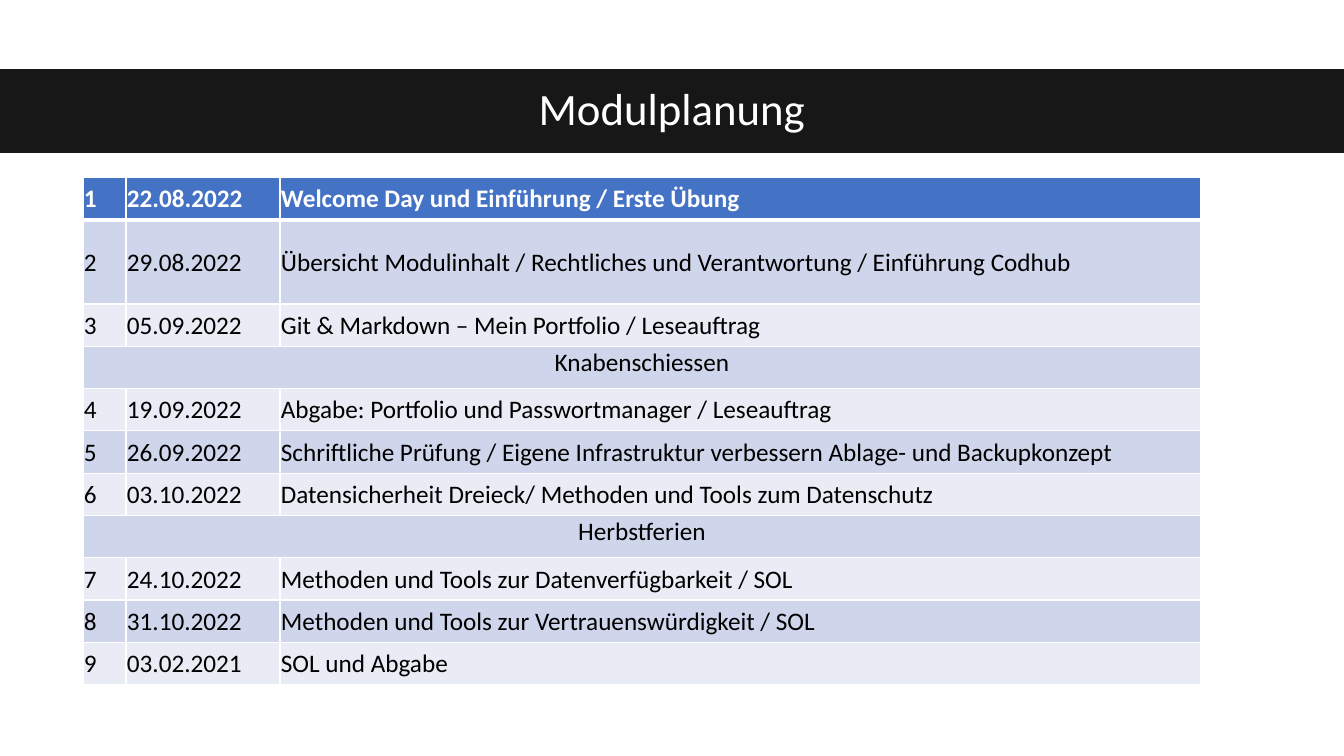
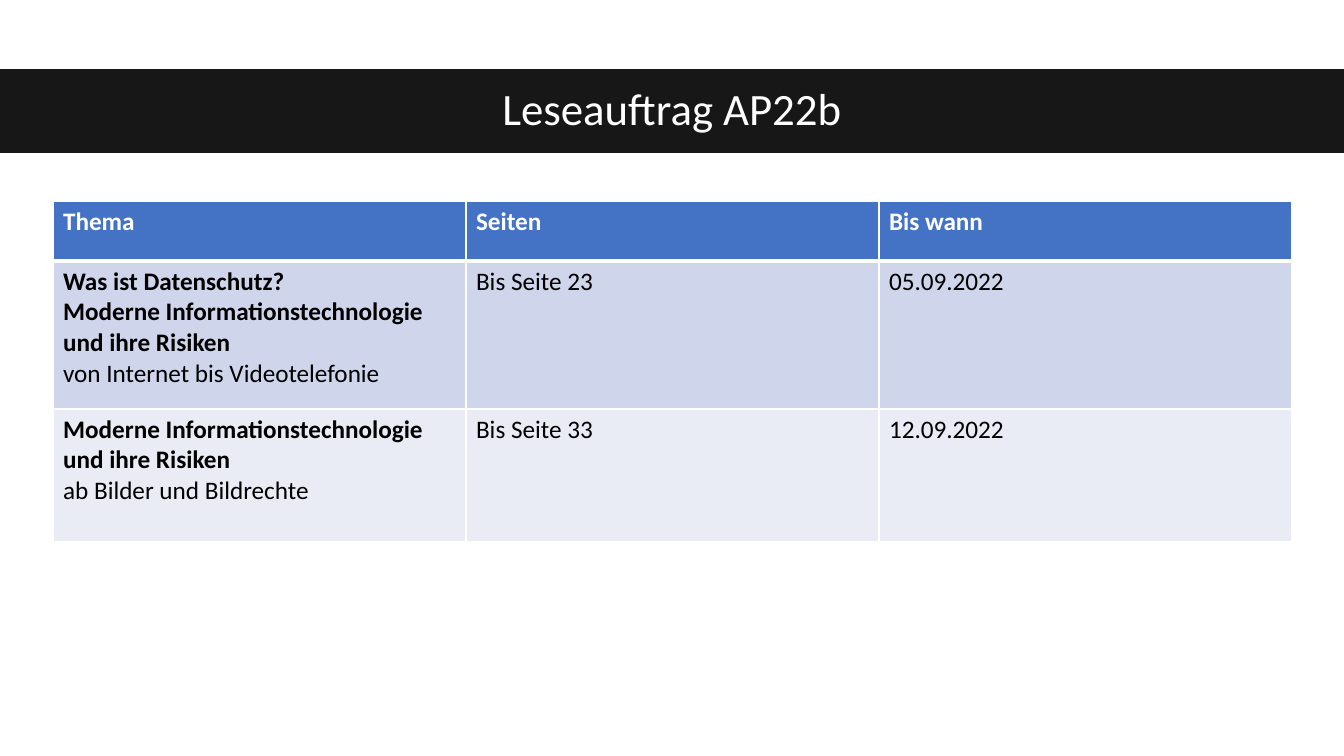
from dataclasses import dataclass

from lxml import etree
from pptx import Presentation
from pptx.dml.color import RGBColor
from pptx.enum.shapes import MSO_SHAPE
from pptx.enum.text import MSO_ANCHOR, PP_ALIGN
from pptx.oxml.ns import qn
from pptx.util import Pt

RECTANGLE = MSO_SHAPE.RECTANGLE
TOP, MIDDLE = MSO_ANCHOR.TOP, MSO_ANCHOR.MIDDLE
LEFT, CENTER = PP_ALIGN.LEFT, PP_ALIGN.CENTER


@dataclass(frozen=True)
class Theme:
    font: str = "Calibri"
    title_size: int = 32
    table_size: int = 18
    white: str = "FFFFFF"
    black: str = "000000"
    band: str = "181717"
    header: str = "4472C4"
    odd_row: str = "CFD5EA"
    even_row: str = "E9EBF5"
    rule: int = 1
    header_rule: int = 3


THEME = Theme()


def px(length):
    return round(length * 914400 / 100.8)


def write_run(paragraph, text, size, color, bold=False):
    run = paragraph.add_run()
    run.text = text
    run.font.name = THEME.font
    run.font.size = Pt(size)
    run.font.bold = bold
    run.font.color.rgb = RGBColor.from_string(color)


schedule = [
    ["1", "22.08.2022", "Welcome Day und Einführung / Erste Übung"],
    ["2", "29.08.2022", "Übersicht Modulinhalt / Rechtliches und Verantwortung / Einführung Codhub"],
    ["3", "05.09.2022", "Git & Markdown – Mein Portfolio / Leseauftrag"],
    ["Knabenschiessen"],
    ["4", "19.09.2022", "Abgabe: Portfolio und Passwortmanager / Leseauftrag"],
    ["5", "26.09.2022", "Schriftliche Prüfung / Eigene Infrastruktur verbessern Ablage- und Backupkonzept"],
    ["6", "03.10.2022", "Datensicherheit Dreieck/ Methoden und Tools zum Datenschutz"],
    ["Herbstferien"],
    ["7", "24.10.2022", "Methoden und Tools zur Datenverfügbarkeit / SOL"],
    ["8", "31.10.2022", "Methoden und Tools zur Vertrauenswürdigkeit / SOL"],
    ["9", "03.02.2021", "SOL und Abgabe"],
]
book_chapter = ("Moderne Informationstechnologie und ihre Risiken", True)
reading = [
    ["Thema", "Seiten", "Bis wann"],
    [
        [("Was ist Datenschutz?", True), book_chapter, ("von Internet bis Videotelefonie", False)],
        "Bis Seite 23",
        "05.09.2022",
    ],
    [[book_chapter, ("ab Bilder und Bildrechte", False)], "Bis Seite 33", "12.09.2022"],
]

pages = [
    {
        "title": "Modulplanung",
        "rows": schedule,
        "origin": (83, 177),
        "widths": [px(43), px(154), px(921)],
        "heights": [px(43), px(84)] + [px(381) // 9] * 9,
        "compact": True,
    },
    {
        "title": "Leseauftrag AP22b",
        "rows": reading,
        "origin": (53, 201),
        "widths": [px(413)] * 3,
        "heights": [px(60), px(148), px(133)],
        "compact": False,
    },
]

deck = Presentation()
deck.slide_width, deck.slide_height = px(1344), px(756)
layout = deck.slide_layouts[5]
layout_title, *layout_footers = layout.placeholders
for footer in layout_footers:
    footer.element.getparent().remove(footer.element)
layout_title.left, layout_title.top = 0, px(70)
layout_title.width, layout_title.height = px(1344), px(82)

for page in pages:
    slide = deck.slides.add_slide(layout)
    heading = slide.shapes.title.text_frame
    heading.vertical_anchor = MIDDLE
    heading.paragraphs[0].alignment = CENTER
    heading.paragraphs[0].line_spacing = 0.9
    write_run(heading.paragraphs[0], page["title"], THEME.title_size, THEME.white)

    if page is pages[0]:
        band = slide.shapes.add_shape(RECTANGLE, 0, px(70), px(1344), px(82))
        band.shadow.inherit = False
        band.fill.solid()
        band.fill.fore_color.rgb = RGBColor.from_string(THEME.band)
        band.line.color.rgb = RGBColor.from_string(THEME.band)
        band.line.width = Pt(1)
        layout_title.element.addprevious(band.element)

    rows, widths, heights = page["rows"], page["widths"], page["heights"]
    left, top = page["origin"]
    table = slide.shapes.add_table(
        len(rows), len(widths), px(left), px(top), sum(widths), sum(heights)
    ).table
    for column, width in zip(table.columns, widths):
        column.width = width

    for row_number, (entries, height) in enumerate(zip(rows, heights)):
        table.rows[row_number].height = height
        is_header = row_number == 0
        is_holiday = len(entries) == 1
        if is_holiday:
            table.cell(row_number, 0).merge(table.cell(row_number, len(widths) - 1))
        row_fill = THEME.header if is_header else (THEME.even_row, THEME.odd_row)[row_number % 2]
        text_color = THEME.white if is_header else THEME.black
        rules = {
            "a:lnL": THEME.rule,
            "a:lnR": THEME.rule,
            "a:lnT": THEME.header_rule if row_number == 1 else THEME.rule,
            "a:lnB": THEME.header_rule if is_header else THEME.rule,
        }

        for column_number in range(len(widths)):
            cell = table.cell(row_number, column_number)
            cell.vertical_anchor = MIDDLE if page["compact"] and not is_holiday else TOP
            if page["compact"]:
                cell.margin_left = cell.margin_right = cell.margin_top = px(1)
                cell.margin_bottom = 0
            cell_properties = cell._tc.get_or_add_tcPr()
            for side, weight in rules.items():
                rule = etree.SubElement(cell_properties, qn(side), w=str(Pt(weight)))
                rule_fill = etree.SubElement(rule, qn("a:solidFill"))
                etree.SubElement(rule_fill, qn("a:srgbClr"), val=THEME.white)
            cell.fill.solid()
            cell.fill.fore_color.rgb = RGBColor.from_string(row_fill)

            if column_number < len(entries):
                entry = entries[column_number]
                lines = [(entry, is_header)] if isinstance(entry, str) else entry
                for line_number, (text, bold) in enumerate(lines):
                    frame = cell.text_frame
                    paragraph = frame.add_paragraph() if line_number else frame.paragraphs[0]
                    paragraph.alignment = CENTER if is_holiday else LEFT
                    write_run(paragraph, text, THEME.table_size, text_color, bold)

deck.save("out.pptx")
